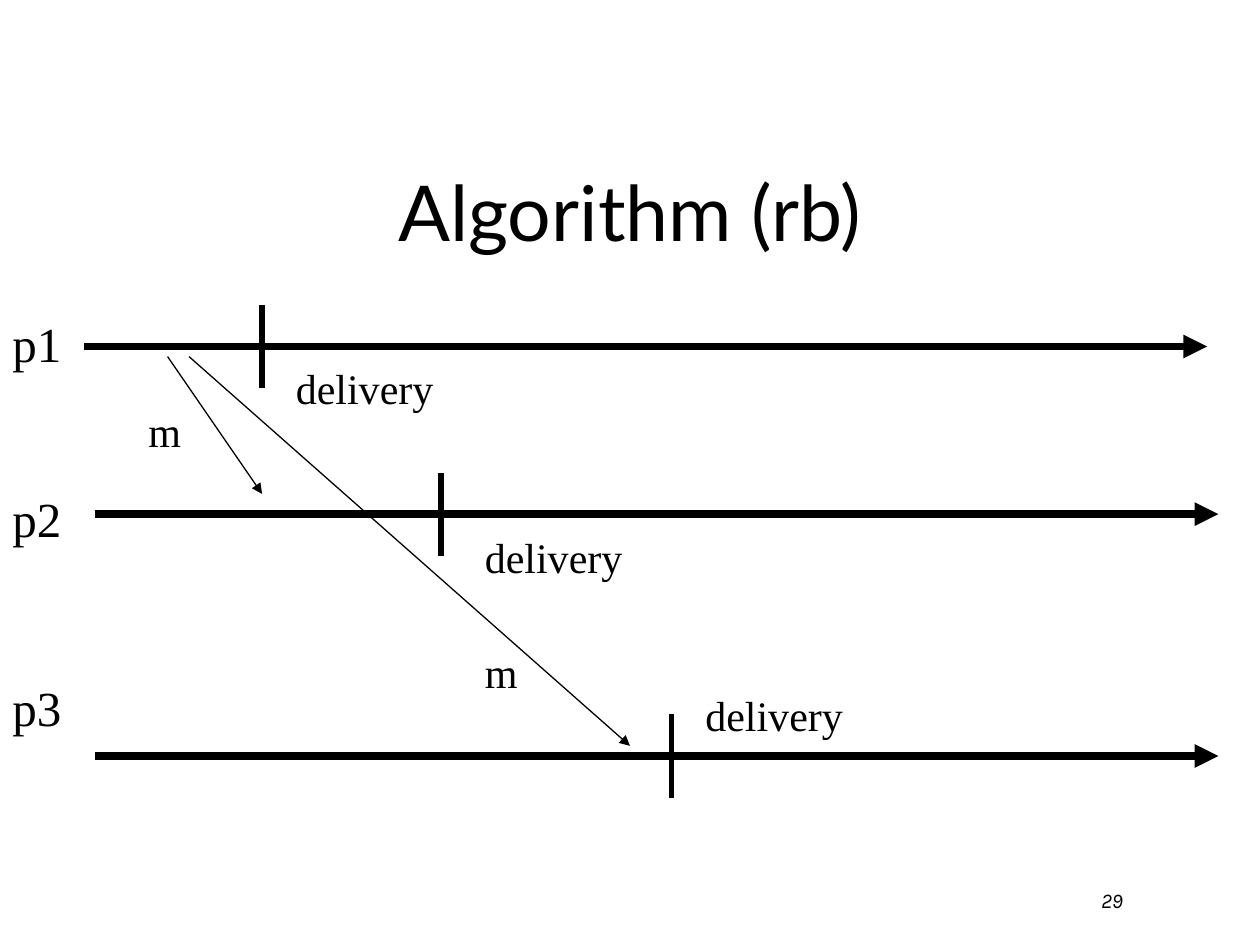
from pptx import Presentation
from pptx import util as u
from pptx.dml.color import RGBColor
from pptx.enum import shapes, text
from pptx.oxml.ns import qn
from lxml import etree

INK = "000000"
SERIF = "Times New Roman"
TITLE = "Algorithm (rb)"
NUMBER = "29"

# name, label top, line start, line end, line height, mark x, delivery label spot
ROWS = [
    ("p1", 2.44, 0.67, 9.58, 2.75, 2.08, (2.25, 2.83)),
    ("p2", 3.83, 0.75, 9.67, 4.08, 3.5, (3.75, 4.17)),
    ("p3", 5.33, 0.75, 9.67, 6, 5.33, (5.5, 5.42)),
]
SENDS = [
    ((1.33, 2.83), (2.08, 3.92), (1.08, 3.17)),
    ((1.5, 2.83), (5, 5.92), (3.75, 5.08)),
]
HALF = 0.33


def paint(color, code):
    color.rgb = RGBColor.from_string(code)


def fill_text(shape, words, size=24, face=SERIF, italic=False, wrap=True,
              align=text.PP_ALIGN.LEFT, anchor=text.MSO_ANCHOR.TOP):
    frame = shape.text_frame
    frame.word_wrap = wrap
    frame.vertical_anchor = anchor
    para = frame.paragraphs[0]
    para.text = words
    para.alignment = align
    font = para.font
    font.size, font.name, font.italic = u.Pt(size), face, italic
    paint(font.color, INK)


def add_label(slide, words, left, top, wide, high, **form):
    box = slide.shapes.add_textbox(*map(u.Inches, (left, top, wide, high)))
    fill_text(box, words, **form)


def add_line(slide, start, end, width, arrow=False):
    line = slide.shapes.add_connector(
        shapes.MSO_CONNECTOR.STRAIGHT, *map(u.Inches, (*start, *end)))
    line.line.width = u.Pt(width)
    paint(line.line.color, INK)
    if arrow:
        tail = etree.SubElement(line.line._get_or_add_ln(), qn("a:tailEnd"))
        tail.set("type", "triangle")
    etree.SubElement(line._element.spPr, qn("a:effectLst"))


def main():
    """Build the message timeline of three processes."""
    deck = Presentation()
    deck.slide_width, deck.slide_height = u.Inches(10), u.Inches(7.5)
    slide = deck.slides.add_slide(deck.slide_layouts[5])

    title = slide.shapes.title
    title.left, title.top = u.Inches(0.75), u.Inches(0.84)
    title.width, title.height = u.Inches(8.5), u.Inches(1.25)
    fill_text(title, TITLE, size=44, face="Lato",
              align=text.PP_ALIGN.CENTER, anchor=text.MSO_ANCHOR.BOTTOM)

    for name, top, left, right, y, mark, spot in ROWS:
        add_line(slide, (left, y), (right, y), 4.5, arrow=True)
        add_line(slide, (mark, y - HALF), (mark, y + HALF), 3)
        add_label(slide, name, 0, top, 0.59, 0.57, size=28, wrap=False)
        add_label(slide, "delivery", *spot, 1.33, 0.5)

    for start, end, spot in SENDS:
        add_line(slide, start, end, 0.75, arrow=True)
        add_label(slide, "m", *spot, 0.46, 0.5, wrap=False)

    add_label(slide, NUMBER, 8.64, 7.06, 0.62, 0.17, size=12, face="Karla",
              italic=True, anchor=text.MSO_ANCHOR.MIDDLE)
    deck.save("out.pptx")


if __name__ == "__main__":
    main()
